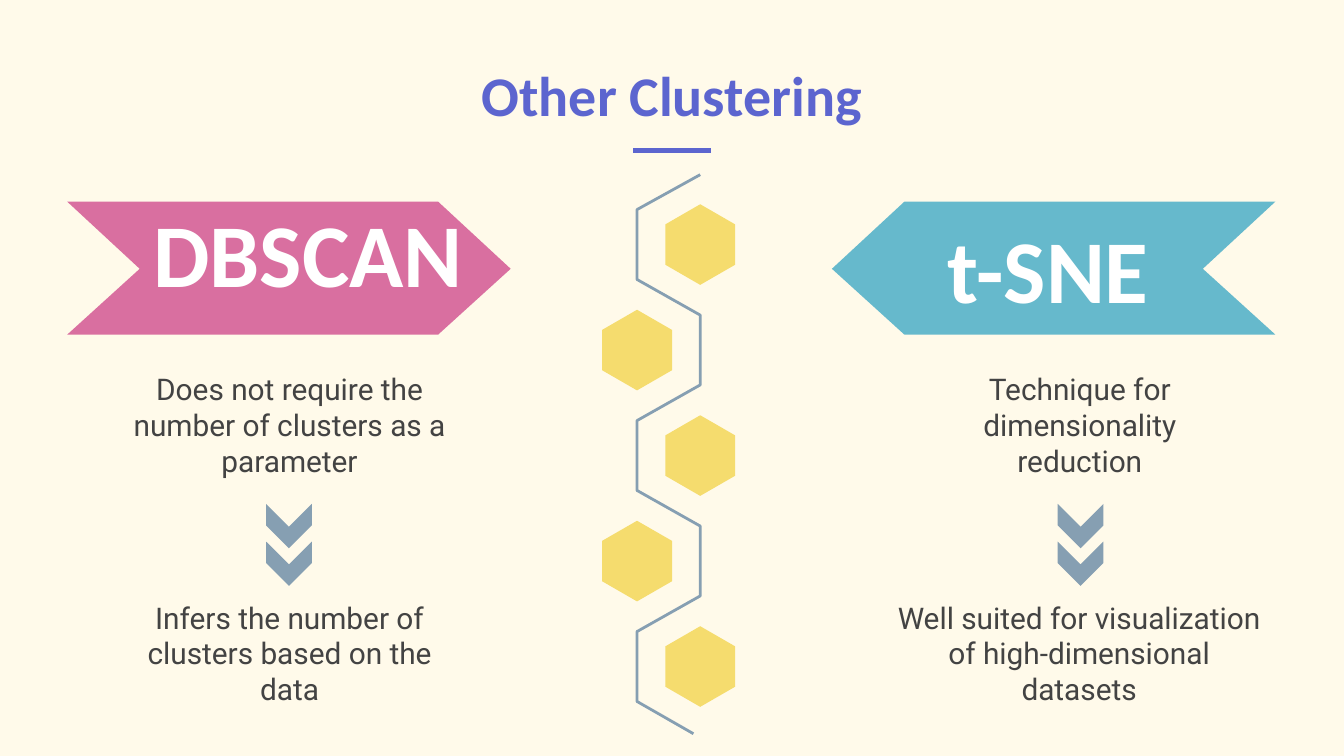
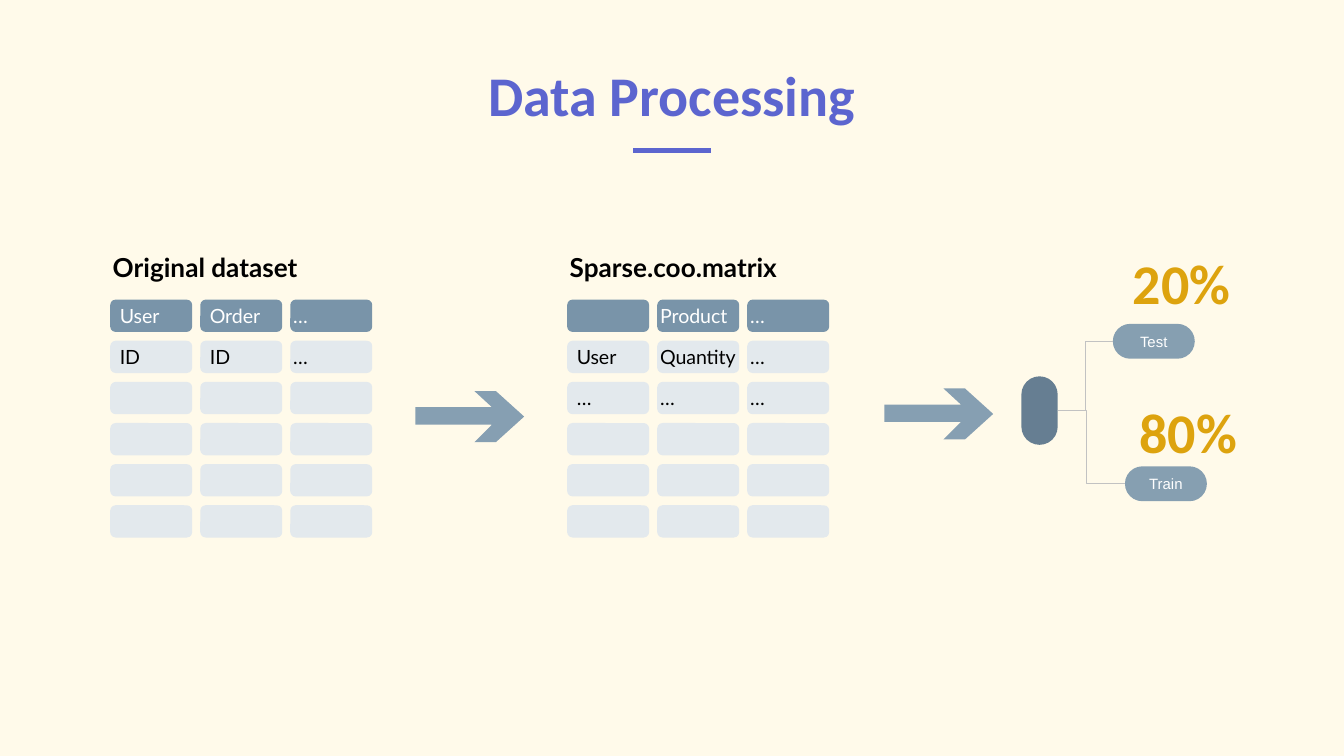
from lxml import etree
from pptx import Presentation
from pptx.dml.color import RGBColor
from pptx.enum.shapes import MSO_CONNECTOR, MSO_SHAPE
from pptx.enum.text import MSO_ANCHOR, PP_ALIGN
from pptx.oxml.ns import qn
from pptx.util import Inches, Pt

CELL = MSO_SHAPE.FLOWCHART_ALTERNATE_PROCESS
PILL = MSO_SHAPE.ROUNDED_RECTANGLE
STRAIGHT, ELBOW = MSO_CONNECTOR.STRAIGHT, MSO_CONNECTOR.ELBOW
LEFT, CENTER = PP_ALIGN.LEFT, PP_ALIGN.CENTER
TOP, MIDDLE, BOTTOM = MSO_ANCHOR.TOP, MSO_ANCHOR.MIDDLE, MSO_ANCHOR.BOTTOM
SIDE_LEFT, SIDE_RIGHT = 1, 3

# Shared colours
CREAM, INDIGO, STEEL = "FFFAEA", "5C65CF", "869FB2"
PINK, TEAL, YELLOW, GOLD = "D96FA0", "66B9CC", "F5DC6E", "DDA30E"
HEADER, BODY, PILL_DARK, PILL_LIGHT = "7994A9", "E3E9ED", "667E92", "869FB1"
WHITE, BLACK, GREY, BRACKET = "FFFFFF", "000000", "434343", "C2C2C2"


def rgb(value):
    return RGBColor.from_string(value)


# Basic elements
def write(sp, text, size, font, color, bold=False, align=LEFT, anchor=TOP,
          margins=(0.1, 0.1, 0.1, 0.1), wrap=True, after=0):
    """Margins run left, top, right, bottom."""
    tf = sp.text_frame
    tf.word_wrap = wrap
    tf.vertical_anchor = anchor
    (tf.margin_left, tf.margin_top,
     tf.margin_right, tf.margin_bottom) = map(Inches, margins)
    p = tf.paragraphs[0]
    p.text = text
    p.alignment = align
    p.space_after = Pt(after)
    p.font.size = Pt(size)
    p.font.name = font
    p.font.bold = bold
    p.font.color.rgb = rgb(color)


def add_text(s, box, text, *style, **layout):
    write(s.shapes.add_textbox(*map(Inches, box)), text, *style, **layout)


def paint(sp, fill):
    sp.shadow.inherit = False
    sp.fill.solid()
    sp.fill.fore_color.rgb = rgb(fill)
    sp.line.fill.background()


def add_box(s, kind, box, fill):
    sp = s.shapes.add_shape(kind, *map(Inches, box))
    paint(sp, fill)
    return sp


def add_outline(s, points, close=True):
    points = [(Inches(x), Inches(y)) for x, y in points]
    builder = s.shapes.build_freeform(*points[0], scale=1.0)
    builder.add_line_segments(points[1:], close=close)
    return builder.convert_to_shape()


def add_polygon(s, points, fill):
    sp = add_outline(s, points)
    paint(sp, fill)
    return sp


def add_line(s, kind, start, end, color, width):
    line = s.shapes.add_connector(kind, *map(Inches, (*start, *end)))
    line.line.color.rgb = rgb(color)
    line.line.width = Pt(width)
    etree.SubElement(line._element.spPr, qn("a:effectLst"))
    return line


def new_slide(prs, title):
    s = prs.slides.add_slide(prs.slide_layouts[6])
    s.background.fill.solid()
    s.background.fill.fore_color.rgb = rgb(CREAM)
    add_line(s, STRAIGHT, (4.71, 1.12), (5.29, 1.12), INDIGO, 3)
    add_text(s, (0.87, 0.22, 8.26, 0.83), title, 30, "Calibri", INDIGO,
             bold=True, align=CENTER, anchor=BOTTOM)
    return s


# Elements of the comparison slide
def add_banner(s, tail, direction, fill, text, margins):
    """Ribbon with a notch at x = tail, pointing right (1) or left (-1)."""
    outline = [(0, 1.5), (0.54, 2), (0, 2.49), (2.76, 2.49), (3.3, 2), (2.76, 1.5)]
    sp = add_polygon(s, [(tail + direction * dx, y) for dx, y in outline], fill)
    write(sp, text, 48, "Calibri", WHITE, bold=True, anchor=MIDDLE,
          margins=margins, wrap=False)


def add_statement(s, left, top, width, text):
    add_text(s, (left, top, width, 0.7), text, 16, "Roboto", GREY,
             align=CENTER, after=16)


def add_chevrons(s, x):
    half = 0.17
    for y in (3.75, 4.03):
        add_polygon(s, [(x + half, y), (x, y + half), (x - half, y),
                        (x - half, y + 0.16), (x, y + 0.33),
                        (x + half, y + 0.16)], STEEL)


def add_hexagon_chain(s):
    left, right = 4.74, 5.21
    trail = [(right, 1.3)]
    for i in range(5):
        y = 1.82 + 0.785 * i
        x, opposite = (left, right) if i % 2 else (right, left)
        add_polygon(s, [(x, y - 0.3), (x + 0.26, y - 0.15), (x + 0.26, y + 0.15),
                        (x, y + 0.3), (x - 0.26, y + 0.15), (x - 0.26, y - 0.15)],
                    YELLOW)
        trail += [(opposite, y - 0.26), (opposite, y + 0.26)]
    sp = add_outline(s, trail + [(5.16, 5.46)], close=False)
    sp.shadow.inherit = False
    sp.fill.background()
    sp.line.color.rgb = rgb(STEEL)
    sp.line.width = Pt(1.5)


# Elements of the process slide
def add_cell_grid(s, left, title, labels, indents):
    """Three columns of six rounded cells; labels fill the first rows."""
    add_text(s, (left - 0.08, 1.82, 2.18, 0.34), title, 14, "Lato", BLACK,
             bold=True, margins=(0.1, 0.05, 0.1, 0.05))
    for row in range(6):
        texts = labels[row] if row < len(labels) else ("", "", "")
        fill, color = (BODY, BLACK) if row else (HEADER, WHITE)
        for col, (text, indent) in enumerate(zip(texts, indents)):
            sp = add_box(s, CELL, (left + 0.67 * col, 2.23 + 0.306 * row, 0.61, 0.24),
                         fill)
            if text:
                write(sp, text, 10.5, "Lato", color, anchor=MIDDLE,
                      margins=(indent, 0, 0, 0), wrap=False)


def add_arrow(s, x, y):
    outline = [(0.44, 0), (0.57, 0.12), (0, 0.12), (0, 0.25), (0.57, 0.25),
               (0.44, 0.38), (0.6, 0.38), (0.81, 0.19), (0.6, 0)]
    add_polygon(s, [(x + dx, y + dy) for dx, dy in outline], STEEL)


def add_pill(s, box, fill, text=""):
    sp = add_box(s, PILL, box, fill)
    sp.adjustments[0] = 0.5
    if text:
        write(sp, text, 8, "Arial", WHITE, align=CENTER, anchor=MIDDLE)
    return sp


def add_branch(s, source, target, bend):
    line = add_line(s, ELBOW, (0, 0), (1, 1), BRACKET, 0.75)
    line.begin_connect(source, SIDE_RIGHT)
    line.end_connect(target, SIDE_LEFT)
    guides = line._element.spPr.find(qn("a:prstGeom")).find(qn("a:avLst"))
    etree.SubElement(guides, qn("a:gd"), name="adj1",
                     fmla=f"val {round(bend * 100000)}")


def add_share(s, left, top, text):
    add_text(s, (left, top, 1.16, 0.61), text, 30, "Calibri", GOLD, bold=True,
             margins=(0.1, 0.05, 0.1, 0.05))


# Slides
def build_clustering(prs):
    s = new_slide(prs, "Other Clustering")
    add_banner(s, 0.5, 1, PINK, "DBSCAN", (0.64, 0, 0, 0.24))
    add_banner(s, 9.49, -1, TEAL, "t-SNE", (0.86, 0.08, 0, 0.08))
    add_statement(s, 0.89, 2.66, 2.53,
                  "Does not require the number of clusters as a parameter")
    add_statement(s, 0.89, 4.36, 2.53,
                  "Infers the number of clusters based on the data")
    add_statement(s, 6.77, 2.66, 2.53, "Technique for dimensionality reduction")
    add_statement(s, 6.53, 4.36, 3,
                  "Well suited for visualization of high-dimensional datasets")
    for x in (2.15, 8.04):
        add_chevrons(s, x)
    add_hexagon_chain(s)


def build_processing(prs):
    s = new_slide(prs, "Data Processing")
    add_cell_grid(s, 0.82, "Original dataset",
                  [("User", "Order", "…"), ("ID", "ID", "…")], (0.06, 0.06, 0.01))
    add_cell_grid(s, 4.22, "Sparse.coo.matrix",
                  [("", "Product", "…"), ("User", "Quantity", "…"), ("…", "…", "…")],
                  (0.06, 0.01, 0.01))
    add_arrow(s, 3.09, 2.91)
    add_arrow(s, 6.58, 2.89)

    # Split into test and train
    data = add_pill(s, (7.6, 2.8, 0.27, 0.51), PILL_DARK)
    test = add_pill(s, (8.28, 2.41, 0.61, 0.26), PILL_LIGHT, "Test")
    train = add_pill(s, (8.37, 3.47, 0.61, 0.26), PILL_LIGHT, "Train")
    add_branch(s, data, test, 0.5)
    add_branch(s, data, train, 0.43)
    add_share(s, 8.33, 1.8, "20%")
    add_share(s, 8.38, 2.91, "80%")


def main():
    prs = Presentation()
    prs.slide_width = Inches(10)
    prs.slide_height = Inches(10 * 9 / 16)
    build_clustering(prs)
    build_processing(prs)
    prs.save("out.pptx")


if __name__ == "__main__":
    main()
